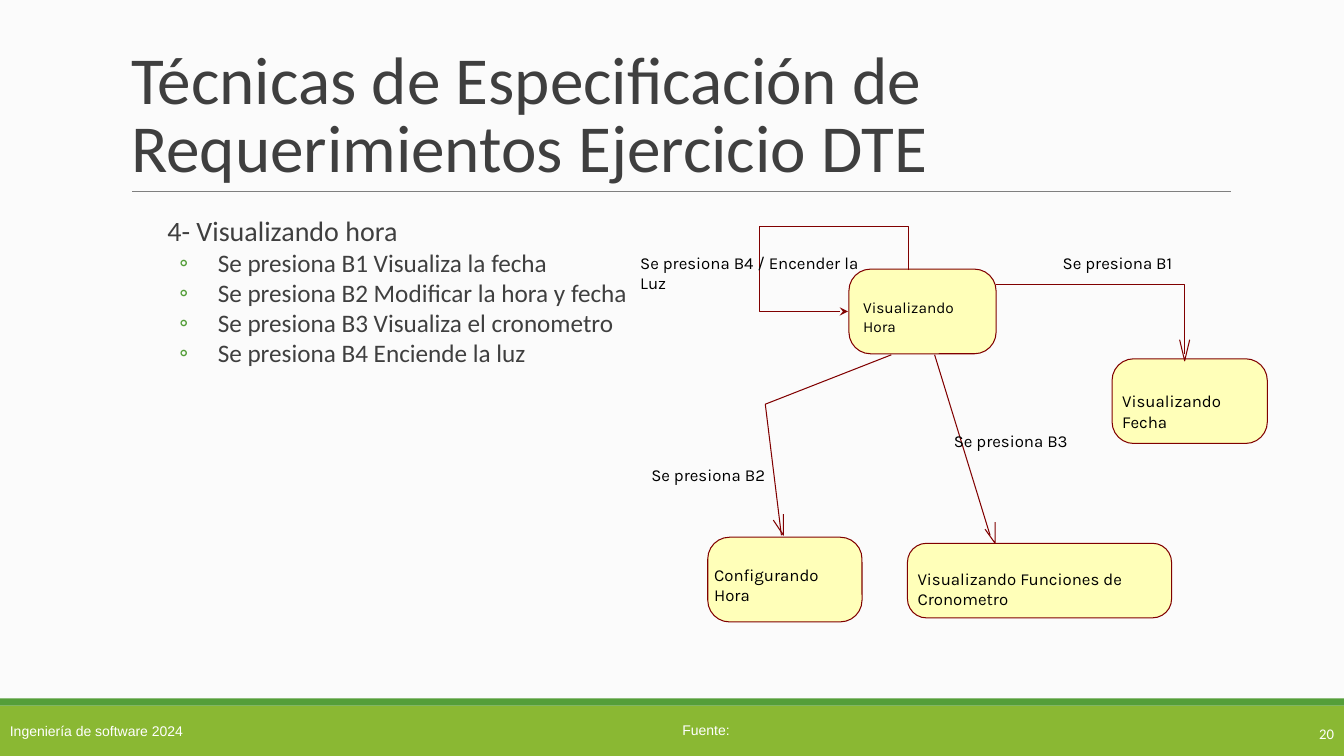
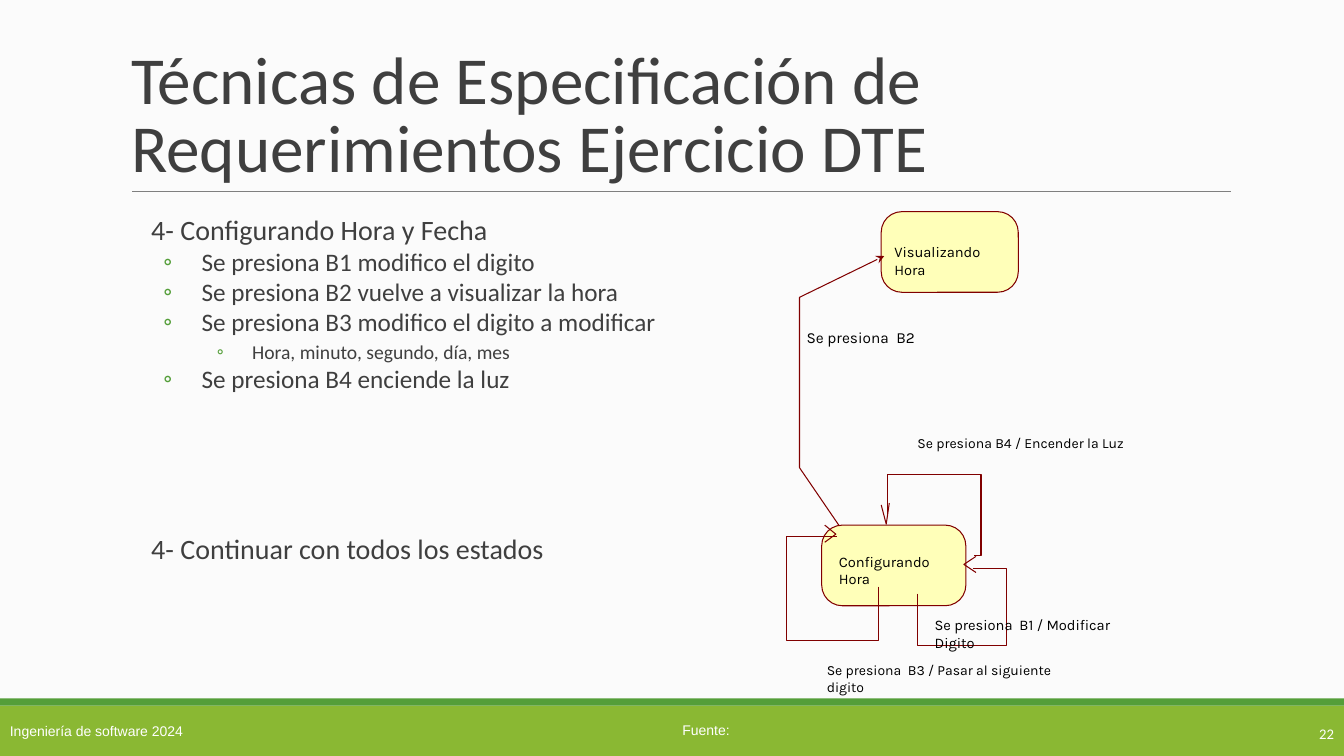
"""Builds two slides on state diagrams for a digital clock."""
from lxml import etree
from pptx import Presentation
from pptx.dml.color import RGBColor as Rgb
from pptx.enum.shapes import MSO_CONNECTOR as Link, MSO_SHAPE as Shape
from pptx.enum.text import MSO_ANCHOR as Anchor, MSO_AUTO_SIZE as Auto, PP_ALIGN as Align
from pptx.oxml.ns import qn
from pptx.util import Inches, Pt

HUES = {"back": "FBFBFB", "band": "8AB833", "edge": "549E39", "rule": "7F7F7F",
        "text": "3F3F3F", "white": "FFFFFF", "ink": "000000", "state": "FFFFB9",
        "wire": "800000"}
TITLE = "Técnicas de Especificación de Requerimientos Ejercicio DTE"
LEVELS = [(0.5, 0, 20, 12), (1, -0.38, 18, 2), (1.5, -0.35, 14, 4)]
CURVE = 0.256

SLIDES = [
    {
        "page": "20",
        "body": (1.16, 2.11, 11.88, 4.65),
        "list": [
            (0, "4- Visualizando hora"),
            (1, "Se presiona B1 Visualiza la fecha"),
            (1, "Se presiona B2 Modificar la hora y fecha"),
            (1, "Se presiona B3 Visualiza el cronometro"),
            (1, "Se presiona B4 Enciende la luz"),
        ],
        "states": [
            ("Visualizando Hora", 11, (8.42, 2.67, 1.46, 0.84), (0.14, 0.29)),
            ("Visualizando Fecha", 12, (11.03, 3.56, 1.54, 0.84), (0.1, 0.32)),
            ("Visualizando Funciones de Cronometro", 12, (9, 5.39, 2.62, 0.74), (0.1, 0.25)),
            ("Configurando Hora", 12, (7.02, 5.33, 1.53, 0.84), (0.06, 0.27)),
        ],
        "wires": [
            [(9.27, 3.52), (9.82, 5.31)],
            [(9.88, 2.82), (11.75, 2.82), (11.75, 3.51)],
            [(11.7, 3.37), (11.75, 3.58), (11.8, 3.37)],
            [(9.77, 5.25), (9.87, 5.39), (9.87, 5.18)],
            [(8.84, 3.52), (7.59, 4.01), (7.75, 5.31)],
            [(7.67, 5.16), (7.77, 5.31), (7.77, 5.1)],
        ],
        "arrow": [(9.01, 2.68), (9.01, 2.25), (7.53, 2.25), (7.53, 3.09), (8.41, 3.09)],
        "labels": [
            ("Se presiona B4 / Encender la Luz", 12, (6.35, 2.51, 2.46, 0.2)),
            ("Se presiona B1", 12, (10.54, 2.51, 1.5, 0.2)),
            ("Se presiona B3", 12, (9.46, 4.27, 1.3, 0.2)),
            ("Se presiona B2", 12, (6.46, 4.61, 1.3, 0.2)),
        ],
    },
    {
        "page": "22",
        "body": (1, 2.1, 11.81, 4.65),
        "list": [
            (0, "4- Configurando Hora y Fecha"),
            (1, "Se presiona B1 modifico el digito"),
            (1, "Se presiona B2 vuelve a visualizar la hora"),
            (1, "Se presiona B3 modifico el digito a modificar"),
            (2, "Hora, minuto, segundo, día, mes"),
            (1, "Se presiona B4 enciende la luz"),
            (0, "4- Continuar con todos los estados", 101),
        ],
        "states": [
            ("Configurando Hora", 10.5, (8.15, 5.21, 1.43, 0.8), (0.17, 0.27)),
            ("Visualizando Hora", 10.5, (8.74, 2.1, 1.36, 0.8), (0.13, 0.31)),
        ],
        "wires": [
            [(8.74, 5.01), (8.79, 5.2), (8.82, 4.99)],
            [(8.8, 5.12), (8.8, 4.71), (9.73, 4.71), (9.73, 5.51), (9.66, 5.51)],
            [(8.71, 5.82), (8.71, 6.35), (7.8, 6.35), (7.8, 5.32), (8.3, 5.32)],
            [(8.18, 5.38), (8.29, 5.3), (8.18, 5.21)],
            [(9.1, 5.89), (9.1, 6.4), (9.98, 6.4), (9.98, 5.64), (9.65, 5.64)],
            [(9.68, 5.52), (9.56, 5.6), (9.68, 5.68)],
        ],
        "arrow": [(8.32, 5.21), (7.93, 4.64), (7.93, 2.95), (8.77, 2.54)],
        "labels": [
            ("Se presiona B4 / Encender la Luz", 10, (9.1, 4.31, 2.2, 0.17)),
            ("Se presiona  B2", 11, (8, 3.26, 1.3, 0.19)),
            ("Se presiona  B1 / Modificar Digito", 10.5, (9.27, 6.11, 2.17, 0.18)),
            ("Se presiona  B3 / Pasar al siguiente digito", 10, (8.2, 6.56, 2.58, 0.17)),
        ],
    },
]


def hue(name):
    return Rgb.from_string(HUES[name])


def inch(*nums):
    return [Inches(n) for n in nums]


def write(par, text, face, size, color):
    run = par.add_run()
    run.text = text
    run.font.name, run.font.size = face, Pt(size)
    run.font.color.rgb = hue(color)


def frame(shape, pads, anchor=Anchor.TOP):
    tf = shape.text_frame
    tf.word_wrap, tf.auto_size, tf.vertical_anchor = True, Auto.NONE, anchor
    tf.margin_left, tf.margin_top, tf.margin_right, tf.margin_bottom = inch(*pads)
    return tf


def note(slide, box, text, face, size, color, pads=(0, 0, 0, 0),
         anchor=Anchor.TOP, align=Align.LEFT):
    shape = slide.shapes.add_textbox(*inch(*box))
    par = frame(shape, pads, anchor).paragraphs[0]
    par.alignment = align
    write(par, text, face, size, color)
    return shape


def block(slide, kind, box, fill, edge=None):
    shape = slide.shapes.add_shape(kind, *inch(*box))
    shape.shadow.inherit = False
    shape.fill.solid()
    shape.fill.fore_color.rgb = hue(fill)
    if edge:
        ink(shape, edge)
    else:
        shape.line.fill.background()
    return shape


def ink(shape, color):
    shape.line.color.rgb = hue(color)
    shape.line.width = Pt(0.75)


def line(slide, start, end, color):
    link = slide.shapes.add_connector(Link.STRAIGHT, *inch(*start, *end))
    ink(link, color)
    etree.SubElement(link.element.spPr, qn("a:effectLst"))
    return link


def wire(slide, points, tip=False):
    if len(points) == 2:
        return line(slide, *points, "wire")
    first, *rest = [inch(*point) for point in points]
    pen = slide.shapes.build_freeform(*first)
    pen.add_line_segments(rest, close=False)
    shape = pen.convert_to_shape()
    shape.shadow.inherit = False
    shape.fill.background()
    ink(shape, "wire")
    if tip:
        stroke = shape.element.spPr.find(qn("a:ln"))
        etree.SubElement(stroke, qn("a:tailEnd"), type="stealth")
    return shape


def state(slide, text, size, box, shift):
    shape = block(slide, Shape.ROUNDED_RECTANGLE, box, "state", "wire")
    shape.adjustments[0] = CURVE
    curb = 0.29 * CURVE * min(box[2:])
    left, top = [max(0, gap - curb) for gap in shift]
    par = frame(shape, (left, top, 0, 0)).paragraphs[0]
    par.alignment = Align.LEFT
    write(par, text, "Karla", size, "ink")


def place(shape, box):
    shape.left, shape.top, shape.width, shape.height = inch(*box)


def bullet(par, level):
    left, hang, size, gap = LEVELS[level]
    props = par._p.get_or_add_pPr()
    props.set("marL", str(Inches(left)))
    props.set("indent", str(Inches(hang)))
    if hang:
        tint = etree.SubElement(props, qn("a:buClr"))
        etree.SubElement(tint, qn("a:srgbClr"), val=HUES["edge"])
        etree.SubElement(props, qn("a:buFont"), typeface="Calibri")
        etree.SubElement(props, qn("a:buChar"), char="◦")
    else:
        etree.SubElement(props, qn("a:buNone"))
    return size, gap


def outline(shape, box, rows):
    place(shape, box)
    tf = frame(shape, (0, 0.05, 0, 0.05))
    for i, (level, text, *extra) in enumerate(rows):
        par = tf.add_paragraph() if i else tf.paragraphs[0]
        par.level = level
        size, gap = bullet(par, level)
        par.line_spacing = 0.9
        par.space_before = Pt((extra[0] if extra else gap) if i else 0)
        par.space_after = Pt(0)
        write(par, text, "Calibri", size, "text")


def dress(layout, slide):
    """Moves the band, rule and footer texts into the layout."""
    for hold in list(layout.placeholders)[2:]:
        hold.element.getparent().remove(hold.element)
    place(layout.placeholders[0], (1.2, 0.31, 11, 1.59))
    band = block(slide, Shape.RECTANGLE, (0, 7, 13.33, 0.5), "band")
    par = frame(band, (0.1,) * 4, Anchor.MIDDLE).paragraphs[0]
    par.alignment = Align.LEFT
    write(par, "Ingeniería de software 2024", "Arial", 10, "white")
    parts = [
        band,
        block(slide, Shape.RECTANGLE, (0, 6.93, 13.33, 0.07), "edge"),
        line(slide, (1.31, 1.9), (12.21, 1.9), "rule"),
        note(slide, (6.67, 7.11, 0.8, 0.27), "Fuente:", "Arial", 10, "white",
             (0.1, 0.05, 0.1, 0.05)),
    ]
    for part in parts:
        layout.shapes.element.append(part.element)


def build(slide, data):
    title, body = slide.placeholders
    par = frame(title, (0.1, 0.05, 0.1, 0.05), Anchor.BOTTOM).paragraphs[0]
    par.alignment, par.line_spacing = Align.LEFT, 0.85
    write(par, TITLE, "Calibri", 48, "text")
    outline(body, data["body"], data["list"])
    note(slide, (11.9, 7.08, 1.43, 0.4), data["page"], "Calibri", 10.5, "white",
         (0.1, 0.05, 0.1, 0.05), Anchor.MIDDLE, Align.RIGHT)
    for item in data["states"]:
        state(slide, *item)
    for points in data["wires"]:
        wire(slide, points)
    wire(slide, data["arrow"], True)
    for text, size, box in data["labels"]:
        note(slide, box, text, "Karla", size, "ink")


def main():
    deck = Presentation()
    deck.slide_width, deck.slide_height = inch(13.33, 7.5)
    fill = deck.slide_master.background.fill
    fill.solid()
    fill.fore_color.rgb = hue("back")
    layout = deck.slide_layouts[1]
    for i, data in enumerate(SLIDES):
        slide = deck.slides.add_slide(layout)
        if not i:
            dress(layout, slide)
        build(slide, data)
    deck.save("out.pptx")


if __name__ == "__main__":
    main()
